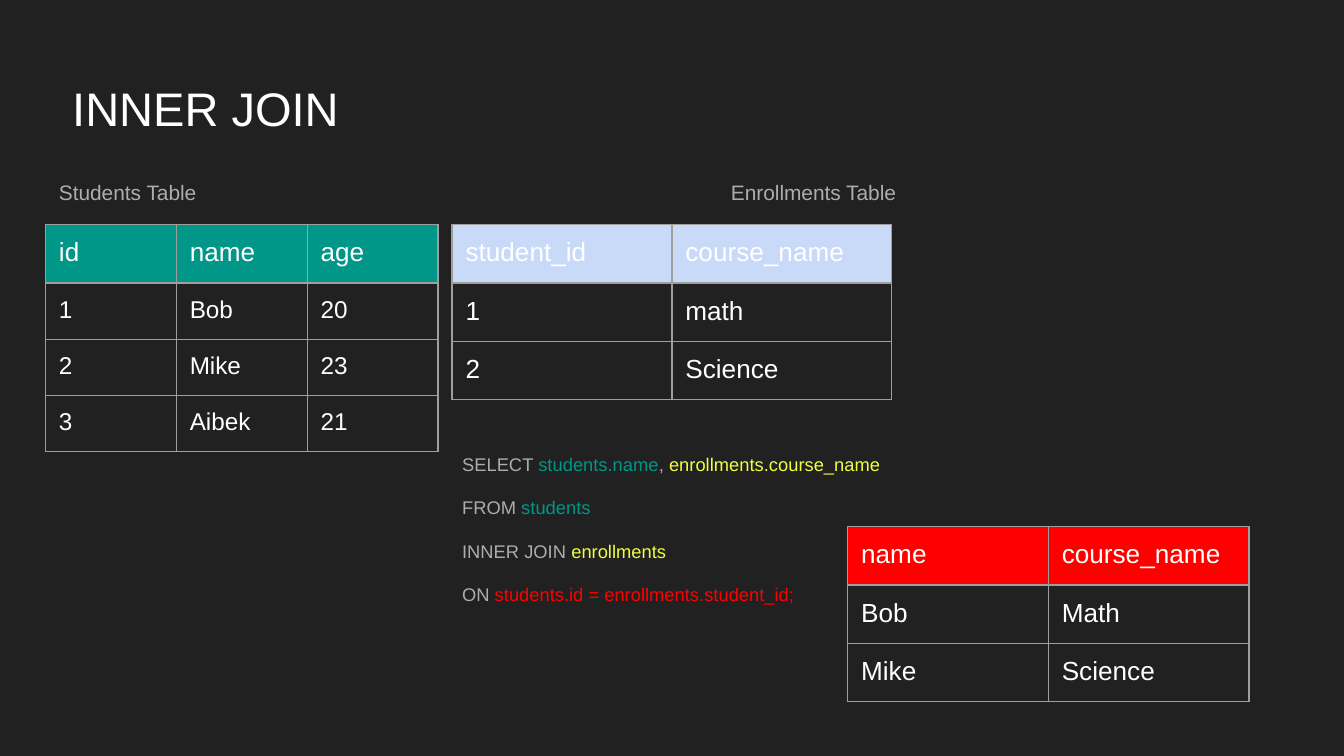
from dataclasses import dataclass

from lxml.etree import SubElement
from pptx import Presentation
from pptx.dml.color import RGBColor
from pptx.enum.text import MSO_ANCHOR, MSO_AUTO_SIZE, PP_ALIGN
from pptx.oxml.ns import qn
from pptx.util import Pt


@dataclass(frozen=True)
class Theme:
    font: str = "Arial"
    background: str = "212121"
    white: str = "FFFFFF"
    muted: str = "ADADAD"
    border: str = "9E9E9E"
    teal: str = "009688"
    yellow: str = "EEFF41"
    red: str = "FF0000"
    pale_blue: str = "C9DAF8"
    title_size: float = 25.2
    label_size: float = 11.2
    query_size: float = 9.8
    cell_size: float = 14
    small_cell_size: float = 13
    padding: float = 7.2
    border_width: float = 0.75


THEME = Theme()

STUDENTS = [("id", "name", "age"), ("1", "Bob", "20"),
            ("2", "Mike", "23"), ("3", "Aibek", "21")]
ENROLLMENTS = [("student_id", "course_name"), ("1", "math"), ("2", "Science")]
JOINED = [("name", "course_name"), ("Bob", "Math"), ("Mike", "Science")]

QUERY = [
    [("SELECT ", THEME.muted), ("students.name", THEME.teal),
     (", ", THEME.muted), ("enrollments.course_name", THEME.yellow)],
    [("FROM ", THEME.muted), ("students", THEME.teal)],
    [("INNER JOIN ", THEME.muted), ("enrollments", THEME.yellow)],
    [("ON ", THEME.muted), ("students.id = enrollments.student_id;", THEME.red)],
]


def apply_format(target, values):
    for attribute, value in values.items():
        setattr(target, attribute, value)


def set_padding(target):
    """Give a text frame or a table cell the same margin on every side."""
    apply_format(target, {f"margin_{side}": Pt(THEME.padding)
                          for side in ("left", "right", "top", "bottom")})


def add_run(paragraph, text, size, color):
    run = paragraph.add_run()
    run.text = text
    apply_format(run.font, {"name": THEME.font, "size": Pt(size), "bold": False})
    run.font.color.rgb = RGBColor.from_string(color)


def add_title(slide, text):
    title = slide.shapes.title
    apply_format(title, {"left": Pt(24.5), "top": Pt(35.3),
                         "width": Pt(671), "height": Pt(45.4)})
    frame = title.text_frame
    set_padding(frame)
    apply_format(frame, {"margin_left": Pt(14.2), "word_wrap": True,
                         "vertical_anchor": MSO_ANCHOR.TOP,
                         "auto_size": MSO_AUTO_SIZE.NONE})
    paragraph = frame.paragraphs[0]
    paragraph.alignment = PP_ALIGN.LEFT
    add_run(paragraph, text, THEME.title_size, THEME.white)


def add_lines(slide, lines, left, top, width, height, size):
    """Add a text box whose lines are lists of (text, color) pairs."""
    box = slide.shapes.add_textbox(Pt(left), Pt(top), Pt(width), Pt(height))
    frame = box.text_frame
    frame.word_wrap = True
    set_padding(frame)
    for index, line in enumerate(lines):
        paragraph = frame.add_paragraph() if index else frame.paragraphs[0]
        apply_format(paragraph, {"line_spacing": 0.95,
                                 "space_before": Pt(12 if index else 0)})
        for text, color in line:
            add_run(paragraph, text, size, color)


def add_label(slide, text, left):
    add_lines(slide, [[(text, THEME.muted)]], left, 90.7, 140, 27, THEME.label_size)


def draw_borders(cell):
    properties = cell._tc.get_or_add_tcPr()
    for edge in ("a:lnL", "a:lnR", "a:lnT", "a:lnB"):
        line = SubElement(properties, qn(edge), w=str(Pt(THEME.border_width)))
        fill = SubElement(line, qn("a:solidFill"))
        SubElement(fill, qn("a:srgbClr"), val=THEME.border)


def format_cell(cell, text, size, fill_color):
    set_padding(cell)
    cell.vertical_anchor = MSO_ANCHOR.TOP
    draw_borders(cell)
    if fill_color:
        cell.fill.solid()
        cell.fill.fore_color.rgb = RGBColor.from_string(fill_color)
    else:
        cell.fill.background()
    add_run(cell.text_frame.paragraphs[0], text, size, THEME.white)


def add_data_table(slide, rows, left, top, column_width, header_color,
                   body_size=THEME.cell_size, body_height=30):
    header_height = 30
    height = header_height + body_height * (len(rows) - 1)
    table = slide.shapes.add_table(len(rows), len(rows[0]), Pt(left), Pt(top),
                                   Pt(column_width * len(rows[0])), Pt(height)).table
    apply_format(table, {"first_row": False, "horz_banding": False})
    for column in table.columns:
        column.width = Pt(column_width)
    for r, values in enumerate(rows):
        table.rows[r].height = Pt(body_height if r else header_height)
        size = body_size if r else THEME.cell_size
        for c, text in enumerate(values):
            format_cell(table.cell(r, c), text, size, None if r else header_color)


def main():
    presentation = Presentation()
    apply_format(presentation, {"slide_width": Pt(720), "slide_height": Pt(405)})
    slide = presentation.slides.add_slide(presentation.slide_layouts[5])
    slide.background.fill.solid()
    slide.background.fill.fore_color.rgb = RGBColor.from_string(THEME.background)

    add_title(slide, "INNER JOIN")
    add_label(slide, "Students Table", 24.5)
    add_label(slide, "Enrollments Table", 384.5)
    add_lines(slide, QUERY, 240.5, 236.5, 260, 95, THEME.query_size)

    add_data_table(slide, STUDENTS, 24.4, 120.4, 70.1, THEME.teal,
                   THEME.small_cell_size, 28.9)
    add_data_table(slide, ENROLLMENTS, 242.2, 120.4, 117.8, THEME.pale_blue)
    add_data_table(slide, JOINED, 454.1, 282.2, 107.5, THEME.red)
    presentation.save("out.pptx")


if __name__ == "__main__":
    main()
